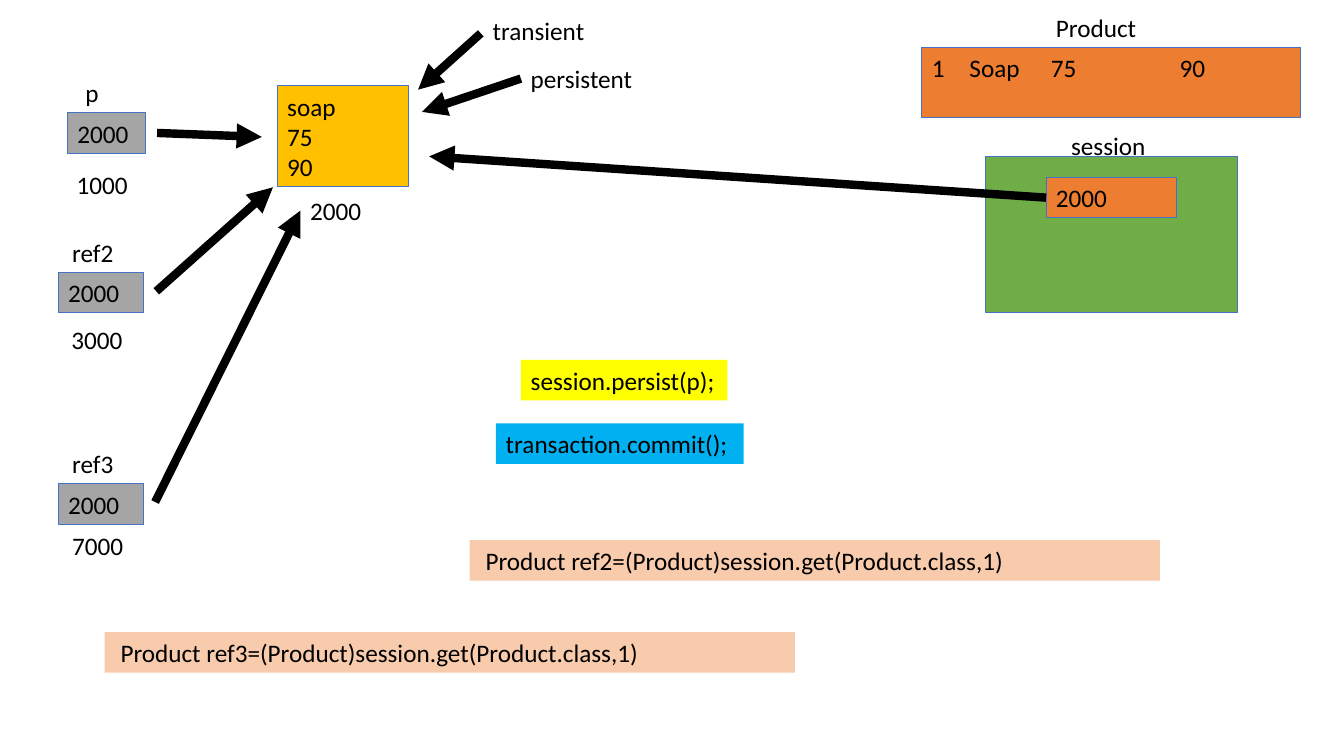
from lxml import etree
from pptx import Presentation
from pptx import util as u
from pptx.dml import color
from pptx.enum import shapes, text
from pptx.oxml import ns

COLOURS = {
    "ink": "000000", "outline": "4472C4", "object": "FFC000",
    "reference": "A5A5A5", "record": "ED7D31", "session": "70AD47",
    "persist": "FFFF00", "commit": "00B0F0", "get": "F8CBAD",
}
FONT = {"name": "Calibri", "size": u.Pt(18)}
FRAME = {
    "margin_left": u.Cm(0.25), "margin_right": u.Cm(0.25),
    "margin_top": u.Cm(0.13), "margin_bottom": u.Cm(0.13),
    "vertical_anchor": text.MSO_ANCHOR.TOP, "word_wrap": True,
}
ROW = 1.02
GET_INDENT = 0.4


def rgb(name):
    return color.RGBColor.from_string(COLOURS[name])


def apply(target, values):
    for name, value in values.items():
        setattr(target, name, value)


def add_element(parent, tag, **attributes):
    return etree.SubElement(parent, ns.qn(tag), attributes)


def write(shape, lines, **frame_values):
    frame = shape.text_frame
    apply(frame, {**FRAME, **frame_values})
    for index, line in enumerate(lines):
        para = frame.paragraphs[0] if index == 0 else frame.add_paragraph()
        para.alignment = text.PP_ALIGN.LEFT
        span = para.add_run()
        span.text = line
        apply(span.font, FONT)
        span.font.color.rgb = rgb("ink")


def add_label(page, caption, left, top, width=1.96):
    box = page.shapes.add_textbox(u.Cm(left), u.Cm(top), u.Cm(width), u.Cm(ROW))
    write(box, [caption])
    return box


def add_box(page, fill, lines, left, top, width, height=ROW, outlined=True, **frame_values):
    box = page.shapes.add_shape(
        shapes.MSO_SHAPE.RECTANGLE, u.Cm(left), u.Cm(top), u.Cm(width), u.Cm(height))
    box.shadow.inherit = False
    box.fill.solid()
    box.fill.fore_color.rgb = rgb(fill)
    if outlined:
        box.line.color.rgb = rgb("outline")
        box.line.width = u.Pt(0.75)
    else:
        box.line.fill.background()
    write(box, lines, **frame_values)
    return box


def add_arrow(page, start, end, source=None):
    arrow = page.shapes.add_connector(
        shapes.MSO_CONNECTOR.STRAIGHT, *(u.Cm(value) for value in start + end))
    if source is not None:
        arrow.begin_connect(source, 1)
    arrow.line.color.rgb = rgb("ink")
    arrow.line.width = u.Pt(6)
    add_element(arrow.line._get_or_add_ln(), "a:tailEnd", type="triangle")
    add_element(arrow._element.spPr, "a:effectLst")


def number_record(box, indent, stops):
    properties = box.text_frame.paragraphs[0]._p.get_or_add_pPr()
    properties.set("marL", str(u.Cm(indent)))
    properties.set("indent", str(-u.Cm(indent)))
    bullet_colour = add_element(properties, "a:buClr")
    add_element(bullet_colour, "a:srgbClr", val=COLOURS["ink"])
    add_element(properties, "a:buFont", typeface=FONT["name"])
    add_element(properties, "a:buAutoNum", type="arabicPlain")
    tabs = add_element(properties, "a:tabLst")
    for stop in stops:
        add_element(tabs, "a:tab", pos=str(u.Cm(stop)), algn="l")


def add_reference(page, name, address, box_place, name_left, address_place):
    left, top, width = box_place
    add_box(page, "reference", ["2000"], left, top, width)
    add_label(page, name, name_left, top - ROW)
    add_label(page, address, *address_place)


def add_memory(page):
    add_box(page, "object", ["soap", "75", "90"], 6.99, 2.16, 3.3, 2.54)
    add_label(page, "2000", 7.57, 4.8)
    add_reference(page, "p", "1000", (1.7, 2.84, 1.96), 1.9, (1.68, 4.14))
    add_reference(page, "ref2", "3000", (1.47, 6.86, 2.16), 1.57, (1.55, 8.05))
    add_reference(page, "ref3", "7000", (1.47, 12.19, 2.16), 1.57, (1.57, 13.23))
    add_arrow(page, (3.96, 3.35), (6.6, 3.45))
    add_arrow(page, (3.94, 7.34), (6.88, 4.72))
    add_arrow(page, (3.91, 12.65), (7.57, 5.31))


def add_states(page):
    add_label(page, "transient", 12.17, 0.25, 2.87)
    add_arrow(page, (12.12, 0.84), (10.54, 2.26))
    persistent = add_label(page, "persistent", 13.13, 1.47, 3.3)
    add_arrow(page, (13.13, 1.98), (10.64, 2.82), persistent)


def add_database_and_session(page):
    add_label(page, "Product", 26.37, 0.18, 3.28)
    record = add_box(page, "record", ["Soap\t75\t90"], 23.24, 1.19, 9.55, 1.78)
    number_record(record, 0.95, [3, 6.25])
    add_box(page, "session", [], 24.84, 3.94, 6.35, 3.94)
    add_label(page, "session", 26.75, 3.15, 2.49)
    entry = add_box(page, "record", ["2000"], 26.37, 4.47, 3.3)
    add_arrow(page, (26.37, 4.98), (10.82, 3.94), entry)


def add_calls(page):
    calls = [
        ("persist", "session.persist(p);", 13.13, 9.07, 5.21, 0.25),
        ("commit", "transaction.commit();", 12.5, 10.67, 6.25, 0.25),
        ("get", "Product ref2=(Product)session.get(Product.class,1)", 11.84, 13.61, 17.4, GET_INDENT),
        ("get", "Product ref3=(Product)session.get(Product.class,1)", 2.64, 15.93, 17.4, GET_INDENT),
    ]
    for fill, call, left, top, width, margin in calls:
        add_box(page, fill, [call], left, top, width, outlined=False, margin_left=u.Cm(margin))


def main():
    deck = Presentation()
    deck.slide_width = u.Cm(33.88)
    deck.slide_height = u.Cm(19.05)
    page = deck.slides.add_slide(deck.slide_layouts[6])
    add_memory(page)
    add_states(page)
    add_database_and_session(page)
    add_calls(page)
    deck.save("out.pptx")


if __name__ == "__main__":
    main()
